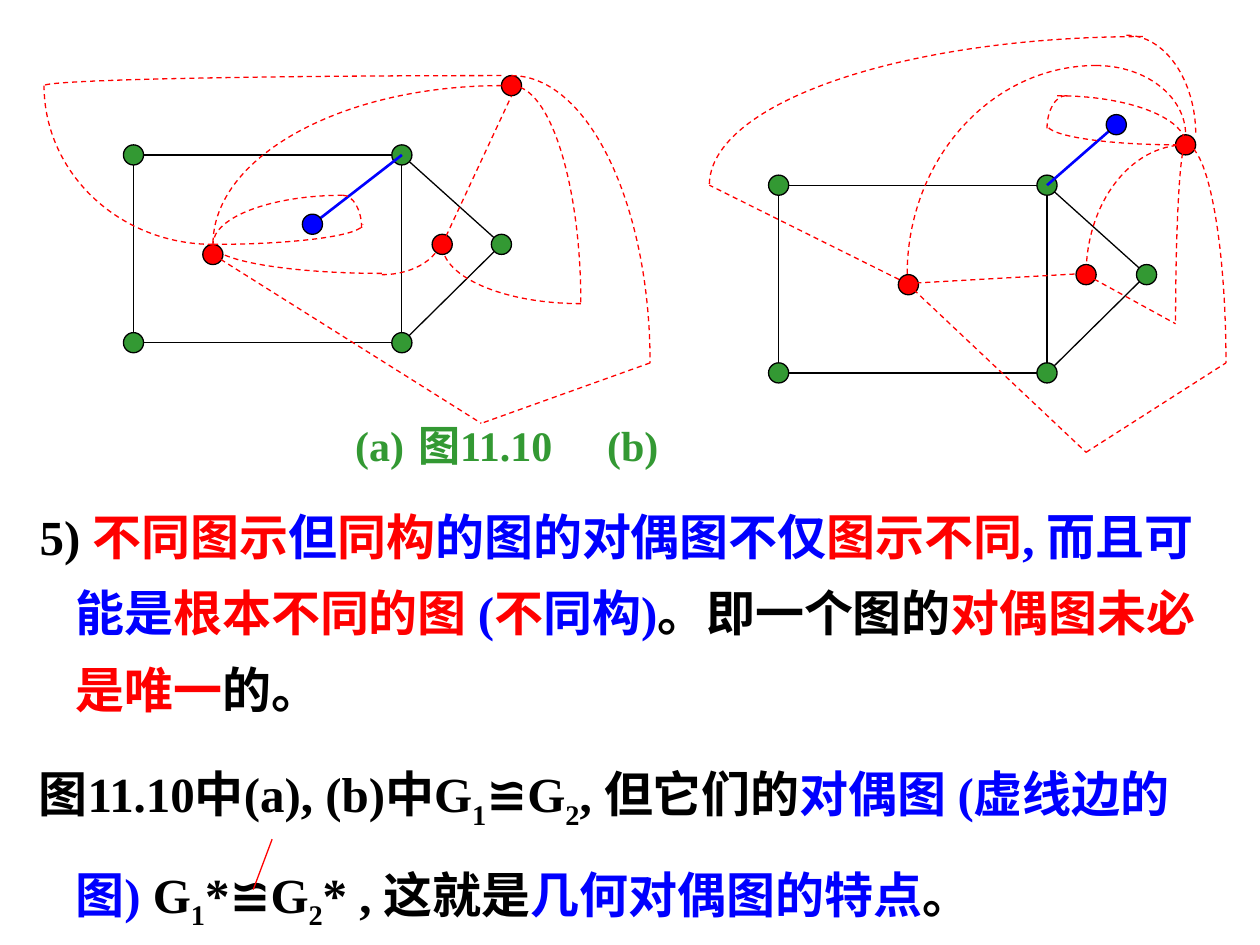
from lxml import etree
from pptx import Presentation
from pptx.dml.color import RGBColor
from pptx.enum import dml, shapes
from pptx.oxml import ns
from pptx.util import Inches, Pt

BLACK, RED, BLUE, GREEN = "000000", "FF0000", "0000FF", "339933"
SERIF = "Times New Roman"
RADIUS = 0.08
BEND = 0.552  # Bezier handle length of a quarter ellipse


def color(value):
    return RGBColor.from_string(value)


def style_line(sp, hex_color, width=0.75, dashed=False):
    sp.line.color.rgb = color(hex_color)
    sp.line.width = Pt(width)
    if dashed:
        sp.line.dash_style = dml.MSO_LINE.DASH


def add_edge(s, start, end, hex_color=BLACK, width=0.75, dashed=False):
    points = [Inches(v) for v in (*start, *end)]
    sp = s.shapes.add_connector(shapes.MSO_CONNECTOR.STRAIGHT, *points)
    style_line(sp, hex_color, width, dashed)
    etree.SubElement(sp._element.spPr, ns.qn("a:effectLst"))


def add_node(s, center, hex_color):
    x, y = center
    sp = s.shapes.add_shape(shapes.MSO_SHAPE.OVAL, Inches(x - RADIUS), Inches(y - RADIUS),
                            Inches(2 * RADIUS), Inches(2 * RADIUS))
    sp.shadow.inherit = False
    sp.fill.solid()
    sp.fill.fore_color.rgb = color(hex_color)
    style_line(sp, BLACK)


def add_arc(s, start, end):
    """Dashed quarter ellipse that leaves start level and reaches end upright."""
    x0, y0, x1, y1 = (Inches(v) for v in (*start, *end))
    builder = s.shapes.build_freeform(x0, y0)
    builder.add_line_segments([(x1, y1)], close=False)
    sp = builder.convert_to_shape()
    sp.shadow.inherit = False
    sp.fill.background()
    style_line(sp, RED, dashed=True)
    # Bend the single straight segment
    segment = sp._element.find(".//" + ns.qn("a:lnTo"))
    segment.tag = ns.qn("a:cubicBezTo")
    handles = [(x0 + BEND * (x1 - x0), y0), (x1, y1 - BEND * (y1 - y0))]
    for i, (x, y) in enumerate(handles):
        pt = etree.Element(ns.qn("a:pt"), x=str(round(x - min(x0, x1))),
                           y=str(round(y - min(y0, y1))))
        segment.insert(i, pt)


def add_graph(s, left, top, blue, reds, dual_lines, dual_arcs):
    """House-shaped graph with its dual; points are offsets from the top left corner."""
    width, height, apex = 2.13, 1.49, (2.92, 0.71)

    def at(point):
        return left + point[0], top + point[1]

    # Graph edges and vertices
    sp = s.shapes.add_shape(shapes.MSO_SHAPE.RECTANGLE, Inches(left), Inches(top),
                            Inches(width), Inches(height))
    sp.shadow.inherit = False
    sp.fill.background()
    style_line(sp, BLACK)
    for y in (0, height):
        add_edge(s, at((width, y)), at(apex))
    for point in [(x, y) for x in (0, width) for y in (0, height)] + [apex]:
        add_node(s, at(point), GREEN)

    # Pendant vertex
    add_edge(s, at((width, 0)), at(blue), BLUE, 1.5)
    add_node(s, at(blue), BLUE)

    # Dual graph
    for point in reds:
        add_node(s, at(point), RED)
    for start, end in dual_lines:
        add_edge(s, at(start), at(end), RED, dashed=True)
    for start, end in dual_arcs:
        add_arc(s, at(start), at(end))


def add_text_frame(s, left, top, width, height):
    sp = s.shapes.add_textbox(Inches(left), Inches(top), Inches(width), Inches(height))
    sp.text_frame.word_wrap = True
    return sp.text_frame


def add_run(p, content, size, hex_color, font=SERIF, subscript=False):
    r = p.add_run()
    r.text = content
    r.font.size = Pt(size)
    r.font.bold = True
    r.font.name = font
    r.font.color.rgb = color(hex_color)
    if subscript:
        r._r.get_or_add_rPr().set("baseline", "-25000")


def add_body(s, left, top, width, height, paragraphs):
    tf = add_text_frame(s, left, top, width, height)
    for i, (spacing, runs) in enumerate(paragraphs):
        p = tf.add_paragraph() if i else tf.paragraphs[0]
        p.line_spacing = spacing
        p.space_before = Pt(7 if i else 0)
        pPr = p._p.get_or_add_pPr()
        pPr.set("marL", str(Inches(0.38)))
        pPr.set("indent", str(-Inches(0.38)))
        for content, hex_color in runs:
            add_run(p, content, 28, hex_color, "Arial" if content == "≌" else SERIF,
                    content in ("1", "2"))


def add_caption(s, left, top, width, height, parts, stops):
    p = add_text_frame(s, left, top, width, height).paragraphs[0]
    pPr = p._p.get_or_add_pPr()
    pPr.set("marL", str(Inches(0.08)))
    pPr.set("indent", "0")
    tabs = etree.SubElement(pPr, ns.qn("a:tabLst"))
    for stop in stops:
        etree.SubElement(tabs, ns.qn("a:tab"), pos=str(Inches(stop)), algn="l")
    add_run(p, "\t".join(parts), 24, GREEN)


GRAPH_A = dict(
    blue=(1.42, 0.55),
    reds=[(0.63, 0.79), (2.45, 0.71), (3, -0.55)],
    dual_lines=[((2.45, 0.71), (3, -0.47)), ((0.63, 0.79), (2.76, 2.13)),
                ((4.1, 1.65), (2.76, 2.13))],
    dual_arcs=[((0.63, 0.71), (-0.71, -0.55)), ((2.92, -0.55), (0.63, 0.71)),
               ((2.92, -0.63), (-0.71, -0.55)), ((3, -0.55), (3.55, 1.18)),
               ((3.55, 1.18), (2.45, 0.71)), ((3, -0.63), (4.1, 1.65)),
               ((1.66, 0.32), (0.63, 0.71)), ((0.63, 0.71), (1.82, 0.55)),
               ((1.66, 0.32), (1.81, 0.58)), ((1.97, 0.94), (0.63, 0.71)),
               ((1.97, 0.95), (2.45, 0.63))])
GRAPH_B = dict(
    blue=(2.68, -0.48),
    reds=[(1.03, 0.79), (2.44, 0.71), (3.23, -0.32)],
    dual_lines=[((1.02, 0.78), (2.44, 0.7)), ((2.44, 0.71), (3.15, 1.1)),
                ((1.02, 0.78), (-0.55, 0)), ((1.02, 0.78), (2.44, 2.12)),
                ((2.44, 2.12), (3.55, 1.41))],
    dual_arcs=[((2.21, -0.71), (3.23, -0.32)), ((3.17, -0.32), (2.13, -0.48)),
               ((2.28, -0.71), (2.13, -0.45)), ((3.23, -0.32), (2.44, 0.71)),
               ((3.23, -0.32), (3.15, 1.1)), ((2.52, -0.95), (1.02, 0.71)),
               ((2.52, -0.95), (3.23, -0.4)), ((2.89, -1.18), (-0.55, 0)),
               ((2.76, -1.19), (3.31, -0.4)), ((3.23, -0.32), (3.55, 1.41))])
PARAGRAPHS = [
    (1.3, [(" 5) ", BLACK), ("不同图示", RED), ("但", BLUE), ("同构", RED),
           ("的图的对偶图不仅", BLUE), ("图示不同", RED), (", 而且可能是", BLUE),
           ("根本不同的图 ", RED), ("(", BLUE), ("不", RED), ("同构)", BLUE),
           ("。即一个图的", BLACK), ("对偶图未必是唯一", RED), ("的。", BLACK)]),
    (1.5, [(" 图11.10中(a), (b)中G", BLACK), ("1", BLACK), ("≌", BLACK), ("G", BLACK),
           ("2", BLACK), (", 但它们的", BLACK), ("对偶图 (虚线边的图) ", BLUE),
           ("G", BLACK), ("1", BLACK), ("*", BLACK), ("≌", BLACK), ("G", BLACK),
           ("2", BLACK), ("* , 这就是", BLACK), ("几何对偶图的特点", BLUE), ("。", BLACK)]),
]


def main():
    prs = Presentation()
    prs.slide_width, prs.slide_height = Inches(10), Inches(7.5)
    s = prs.slides.add_slide(prs.slide_layouts[6])
    add_body(s, 0.12, 3.83, 9.69, 3.67, PARAGRAPHS)
    add_graph(s, 1.06, 1.23, **GRAPH_A)
    add_graph(s, 6.18, 1.47, **GRAPH_B)
    # Stroke through the congruence sign
    add_edge(s, (2.16, 6.66), (2.01, 7.06), RED)
    add_caption(s, 2.64, 3.28, 5.43, 0.5, ["(a)", "图11.10", "(b)"], [2.39, 4.61])
    prs.save("out.pptx")


if __name__ == "__main__":
    main()
